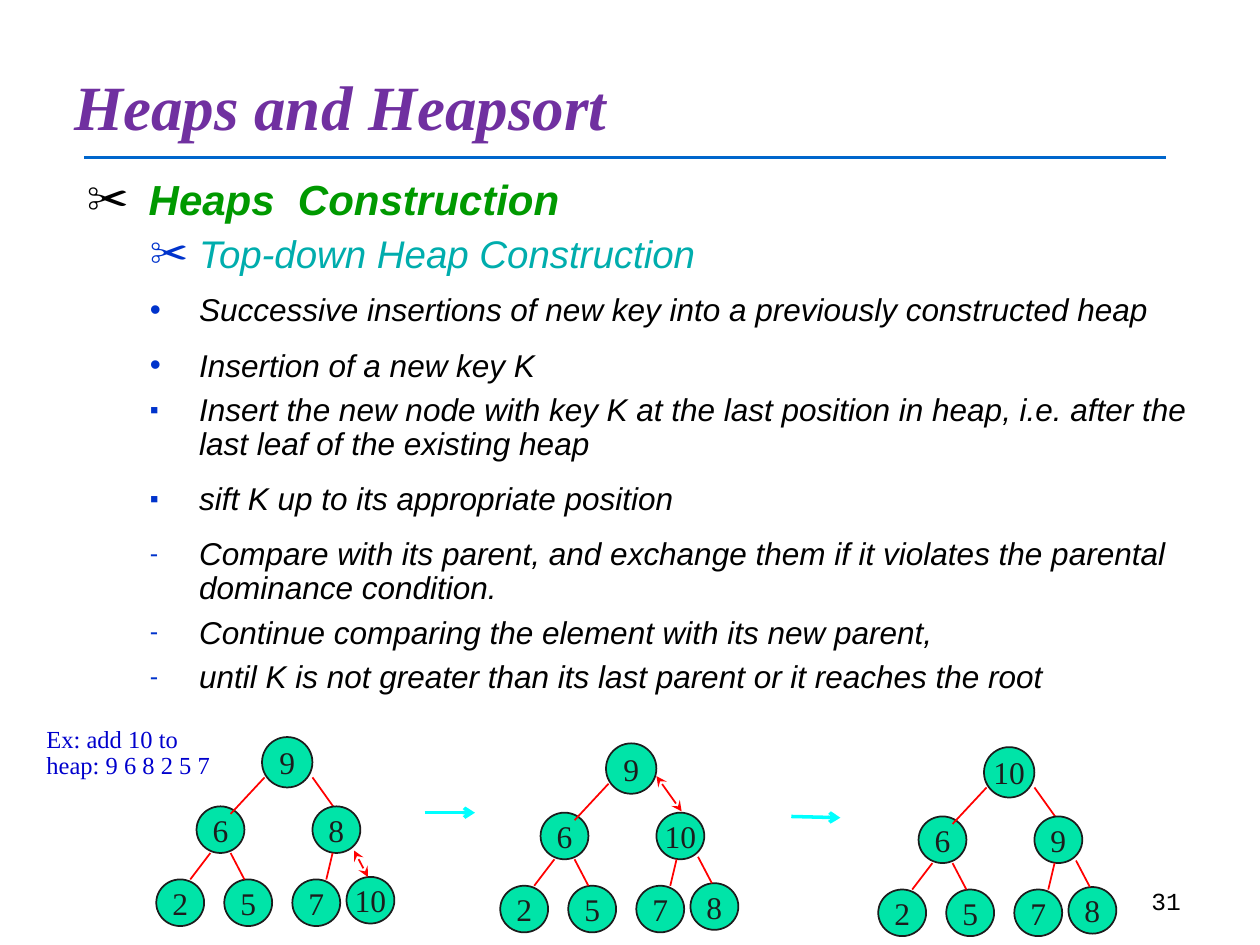
from lxml import etree
from pptx import Presentation
from pptx.dml.color import RGBColor
from pptx.enum.shapes import MSO_CONNECTOR, MSO_SHAPE
from pptx.enum.text import MSO_ANCHOR, MSO_AUTO_SIZE, PP_ALIGN
from pptx.oxml import parse_xml
from pptx.oxml.ns import nsdecls, qn
from pptx.util import Inches, Pt

STRAIGHT = MSO_CONNECTOR.STRAIGHT
OVAL = MSO_SHAPE.OVAL
MIDDLE = MSO_ANCHOR.MIDDLE
NO_FIT = MSO_AUTO_SIZE.NONE
LEFT, CENTER, RIGHT = PP_ALIGN.LEFT, PP_ALIGN.CENTER, PP_ALIGN.RIGHT

WIDTH, HEIGHT = Inches(10), Inches(7.5)
COL, ROW = WIDTH / 100, HEIGHT / 75  # grid of 100 columns by 75 rows

SERIF, SANS, MONO = "Times New Roman", "Arial", "Courier New"
BLACK, INK, RED = "000000", "1C1C1C", "FF0000"
BULLET_BLUE = "0033CC"

HEADING = dict(size=Pt(24), bold=True, italic=True, name=SANS)
SUBHEADING = dict(size=Pt(22), bold=False, italic=True, name=SANS)
POINT = dict(size=Pt(18), bold=False, italic=True, name=SANS)

# text, format, colour, bullet, bullet colour, bullet size %, points before, points after
OUTLINE = [
    ("Heaps  Construction", HEADING, "009900", "✂", BLACK, 100, 0, 0),
    ("Top-down Heap Construction", SUBHEADING, "00ADAD", "✂", BULLET_BLUE, 100, 6, 6),
    ("Successive insertions of new key into a previously constructed heap",
     POINT, BLACK, "•", BULLET_BLUE, 100, 4.5, 12),
    ("Insertion of a new key K", POINT, BLACK, "•", BULLET_BLUE, 100, 0, 6),
    ("Insert the new node with key K at the last position in heap, "
     "i.e. after the last leaf of the existing heap",
     POINT, BLACK, "▪", BULLET_BLUE, 80, 0, 6),
    ("sift K up to its appropriate position", POINT, BLACK, "▪", BULLET_BLUE, 80, 6, 6),
    ("Compare with its parent, and exchange them if it violates "
     "the parental dominance condition.", POINT, BLACK, "-", BULLET_BLUE, 80, 6, 0),
    ("Continue comparing the element with its new parent,",
     POINT, BLACK, "-", BULLET_BLUE, 80, 6, 0),
    ("until K is not greater than its last parent or it reaches the root",
     POINT, BLACK, "-", BULLET_BLUE, 80, 6, 0),
]

# Heap nodes in level order, and the edge leading to each child, from the tree's corner
NODES = [(8.4, 0, 4, 4), (3.2, 5.5, 3.8, 3.7), (12.4, 5.5, 3.8, 3.7),
         (0, 11.3, 3.8, 3.7), (5.4, 11.3, 3.8, 3.7),
         (10.8, 11.3, 3.8, 3.7), (15.1, 11.1, 3.8, 3.7)]
RIGHT_EDGE = (12.4, 3.2, 14.4, 6)
SWAPPED_RIGHT_EDGE = (12.4, 2.6, 14.4, 5.4)
LOWER_EDGES = [(8.6, 3.2, 5.9, 6.1), (4.3, 9.2, 2.7, 11.3), (5.9, 9.2, 7, 11.3),
               (14, 9.2, 13.5, 11.3)]
LAST_EDGE = (15.7, 9, 16.8, 11.1)

# left, top, keys, edge whose ends are exchanged
TREES = [(12.4, 58.5, (9, 6, 8, 2, 5, 7, 10), "last"),
         (39.7, 59, (9, 6, 10, 2, 5, 7, 8), "right"),
         (69.7, 59.3, (10, 6, 9, 2, 5, 7, 8), None)]
STEP_ARROWS = [(33.7, 64.5, 37.7, 64.5), (62.8, 64.8, 66.7, 64.9)]


def rgb(code):
    return RGBColor.from_string(code)


def grid(x, y, *rest):
    """Turn alternating column and row counts into lengths."""
    return [int(v * (ROW if i % 2 else COL)) for i, v in enumerate((x, y) + rest)]


def assign(obj, **values):
    for name, value in values.items():
        setattr(obj, name, value)


def write(p, text, color, **fmt):
    r = p.add_run()
    r.text = text
    assign(r.font, **fmt)
    r.font.color.rgb = rgb(color)
    return r


def add_line(shapes, ends, color, width, head=None, tail=None):
    line = shapes.add_connector(STRAIGHT, *grid(*ends))
    line.line.color.rgb = rgb(color)
    line.line.width = Pt(width)
    ln = line.line._get_or_add_ln()
    for tag, kind in (("a:headEnd", head), ("a:tailEnd", tail)):
        if kind:
            etree.SubElement(ln, qn(tag)).set("type", kind)
    etree.SubElement(line._element.spPr, qn("a:effectLst"))


def add_label(s, box, text, color, align=LEFT, spacing=1.0, **fmt):
    tf = s.shapes.add_textbox(*grid(*box)).text_frame
    tf.word_wrap = True
    p = tf.paragraphs[0]
    assign(p, alignment=align, line_spacing=spacing)
    write(p, text, color, **fmt)


def add_title(s, text):
    sp = s.shapes.title
    assign(sp, **dict(zip(("left", "top", "width", "height"), grid(4.9, 5, 91, 6.7))))
    tf = sp.text_frame
    assign(tf, vertical_anchor=MIDDLE, auto_size=NO_FIT)
    p = tf.paragraphs[0]
    p.alignment = LEFT
    r = write(p, text, "7030A0", size=Pt(36), bold=True, italic=True, name=SERIF)
    shadow = parse_xml(
        f'<a:effectLst {nsdecls("a")}><a:outerShdw blurRad="38100" dist="38100" dir="2700000">'
        '<a:srgbClr val="C0C0C0"/></a:outerShdw></a:effectLst>')
    r.font._element.find(qn("a:solidFill")).addnext(shadow)


def set_bullet(p, char, color, percent, margin, hang):
    pPr = p._p.get_or_add_pPr()
    pPr.set("marL", str(Inches(margin)))
    pPr.set("indent", str(-Inches(hang)))
    clr = etree.SubElement(pPr, qn("a:buClr"))
    etree.SubElement(clr, qn("a:srgbClr")).set("val", color)
    etree.SubElement(pPr, qn("a:buSzPct")).set("val", str(percent * 1000))
    etree.SubElement(pPr, qn("a:buFont")).set("typeface", SANS)
    etree.SubElement(pPr, qn("a:buChar")).set("char", char)


def add_outline(s):
    sp = s.placeholders[1]
    assign(sp, **dict(zip(("left", "top", "width", "height"), grid(5, 13.7, 92.7, 44.8))))
    tf = sp.text_frame
    assign(tf, auto_size=NO_FIT, word_wrap=True)
    for i, (text, fmt, color, char, bullet_color, percent, before, after) in enumerate(OUTLINE):
        p = tf.add_paragraph() if i else tf.paragraphs[0]
        margin, hang = (0.98, 0.39) if i else (0.58, 0.49)
        set_bullet(p, char, bullet_color, percent, margin, hang)
        assign(p, level=min(i, 1), alignment=LEFT, line_spacing=0.9,
               space_before=Pt(before), space_after=Pt(after))
        write(p, text, color, **fmt)


def add_node(shapes, box, key):
    sp = shapes.add_shape(OVAL, *grid(*box))
    sp.shadow.inherit = False
    sp.fill.solid()
    sp.fill.fore_color.rgb = rgb("00E4A8")
    sp.line.color.rgb = rgb(INK)
    sp.line.width = Pt(1)
    tf = sp.text_frame
    assign(tf, vertical_anchor=MIDDLE, word_wrap=False)
    p = tf.paragraphs[0]
    p.alignment = CENTER
    write(p, str(key), INK, size=Pt(18), name=SERIF)


def add_tree(s, left, top, keys, swapped):
    shapes = s.shapes.add_group_shape().shapes

    def edge(ends, exchange=False):
        x1, y1, x2, y2 = ends
        kind = "stealth" if exchange else None
        add_line(shapes, (left + x1, top + y1, left + x2, top + y2), RED, 1, kind, kind)

    right = swapped == "right"
    edge(SWAPPED_RIGHT_EDGE if right else RIGHT_EDGE, right)
    for (x, y, w, h), key in zip(NODES, keys):
        add_node(shapes, (left + x, top + y, w, h), key)
    for ends in LOWER_EDGES:
        edge(ends)
    edge(LAST_EDGE, swapped == "last")


def main():
    prs = Presentation()
    prs.slide_width, prs.slide_height = WIDTH, HEIGHT
    s = prs.slides.add_slide(prs.slide_layouts[1])
    add_line(s.shapes, (6.7, 12.5, 92.5, 12.5), "0066CC", 1.75)
    add_label(s, (71.4, 69.8, 23.3, 5.2), "31", BLACK, RIGHT, size=Pt(14), name=MONO)
    add_title(s, "Heaps and Heapsort")
    add_outline(s)
    for tree in TREES:
        add_tree(s, *tree)
    for ends in STEP_ARROWS:
        add_line(s.shapes, ends, "00FFFF", 2, tail="arrow")
    add_label(s, (2.7, 57.2, 15.1, 5.2), "Ex: add 10 to heap: 9 6 8 2 5 7", "0000CD",
              spacing=0.9, size=Pt(14), name=SERIF)
    prs.save("out.pptx")


if __name__ == "__main__":
    main()
